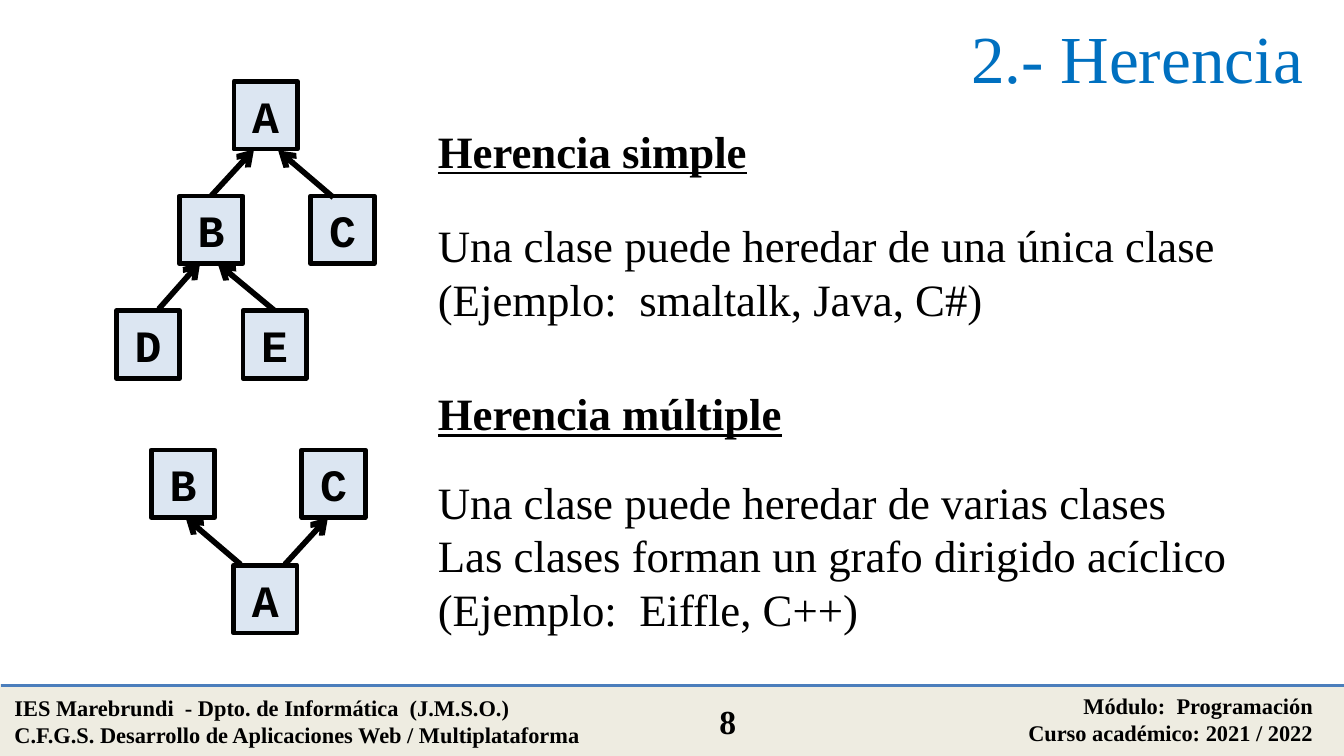
from pptx import Presentation
from pptx.dml.color import RGBColor
from pptx.enum.shapes import MSO_CONNECTOR as CONN, MSO_SHAPE as SHP
from pptx.enum.text import MSO_ANCHOR as ANC, PP_ALIGN as AL
from pptx.oxml.ns import qn
from pptx.util import Pt
from lxml import etree


def color(fmt, hex_):
    fmt.rgb = RGBColor.from_string(hex_)


def write(sp, lines, align, hex_="000000", **fmt):
    tf = sp.text_frame
    tf.word_wrap = True
    for i, line in enumerate(lines):
        p = tf.paragraphs[0] if i == 0 else tf.add_paragraph()
        p.alignment = align
        r = p.add_run()
        r.text = line
        for key, value in fmt.items():
            setattr(r.font, key, value)
        color(r.font.color, hex_)


prs = Presentation()
prs.slide_width, prs.slide_height = Pt(720), Pt(405)
s = prs.slides.add_slide(prs.slide_layouts[5])

serif = {"name": "Times New Roman", "size": Pt(24)}
heading = {**serif, "bold": True, "underline": True}
footer = {**serif, "size": Pt(12), "bold": True}
number = {**footer, "size": Pt(18)}
node = {"name": "Courier New", "size": Pt(24), "bold": True}

title = s.shapes.title
for key, value in {"left": 89.3, "top": 0, "width": 625, "height": 60.5}.items():
    setattr(title, key, Pt(value))
title.text_frame.vertical_anchor = ANC.MIDDLE
write(title, ["2.- Herencia "], AL.RIGHT, "0070C0", name="Times New Roman", size=Pt(36))

band = s.shapes.add_shape(SHP.RECTANGLE, Pt(0.7), Pt(367.2), Pt(720), Pt(37.5))
band.shadow.inherit = False
band.fill.solid()
color(band.fill.fore_color, "EEECE1")
color(band.line.color, "EEECE1")
band.line.width = Pt(2)

texts = [
    (0.7, 368.6, 335.5, 36, AL.LEFT, footer,
     ["IES Marebrundi  - Dpto. de Informática  (J.M.S.O.)",
      "C.F.G.S. Desarrollo de Aplicaciones Web / Multiplataforma"]),
    (422.6, 367.2, 288, 36, AL.RIGHT, footer,
     ["Módulo:  Programación", "Curso académico: 2021 / 2022"]),
    (360.7, 372.2, 58.3, 29, AL.CENTER, number, ["8"]),
    (227.5, 62.6, 277, 36, AL.LEFT, heading, ["Herencia simple"]),
    (227.5, 113, 473, 65.5, AL.JUSTIFY, serif,
     ["Una clase puede heredar de una única clase",
      "(Ejemplo:  smaltalk, Java, C#)"]),
    (227.5, 203, 277, 36, AL.LEFT, heading, ["Herencia múltiple"]),
    (227.5, 250.6, 473, 94.3, AL.JUSTIFY, serif,
     ["Una clase puede heredar de varias clases",
      "Las clases forman un grafo dirigido acíclico",
      "(Ejemplo:  Eiffle, C++)"]),
]
for x, y, w, h, align, fmt, lines in texts:
    write(s.shapes.add_textbox(Pt(x), Pt(y), Pt(w), Pt(h)), lines, align, **fmt)

nodes = {
    "simple A": (125.3, 43.6), "simple B": (96.1, 105), "simple C": (166.5, 105),
    "simple D": (62.3, 166.4), "simple E": (130.1, 166.4),
    "multiple B": (81, 241), "multiple C": (161.7, 241), "multiple A": (125.1, 302.8),
}
boxes = {}
for key, (x, y) in nodes.items():
    sp = s.shapes.add_shape(SHP.RECTANGLE, Pt(x), Pt(y), Pt(34), Pt(36.3))
    sp.shadow.inherit = False
    sp.fill.solid()
    color(sp.fill.fore_color, "DCE6F2")
    color(sp.line.color, "000000")
    sp.line.width = Pt(2.5)
    tf = sp.text_frame
    tf.margin_left = tf.margin_right = 0
    write(sp, [key[-1]], AL.CENTER, **node)
    boxes[key] = sp

lines = [
    (0.7, 367.2, 720.7, 367.2, "4B7EBC", 2, None),
    (113.1, 105, 136.1, 80, "000000", 3, "simple B"),
    (178.6, 105.8, 149, 80.6, "000000", 3, None),
    (85, 165.6, 107.3, 140.4, "000000", 3, None),
    (147.1, 166.4, 116.6, 141.1, "000000", 3, "simple E"),
    (128.9, 302.4, 99.4, 277.2, "000000", 3, None),
    (152.6, 302.4, 175.7, 277.2, "000000", 3, None),
]
for x1, y1, x2, y2, hex_, width, child in lines:
    c = s.shapes.add_connector(CONN.STRAIGHT, Pt(x1), Pt(y1), Pt(x2), Pt(y2))
    color(c.line.color, hex_)
    c.line.width = Pt(width)
    spPr = c._element.spPr
    if y1 != y2:
        etree.SubElement(spPr.find(qn("a:ln")), qn("a:tailEnd"), type="arrow")
    etree.SubElement(spPr, qn("a:effectLst"))
    if child:
        c.begin_connect(boxes[child], 0)

prs.save("out.pptx")
